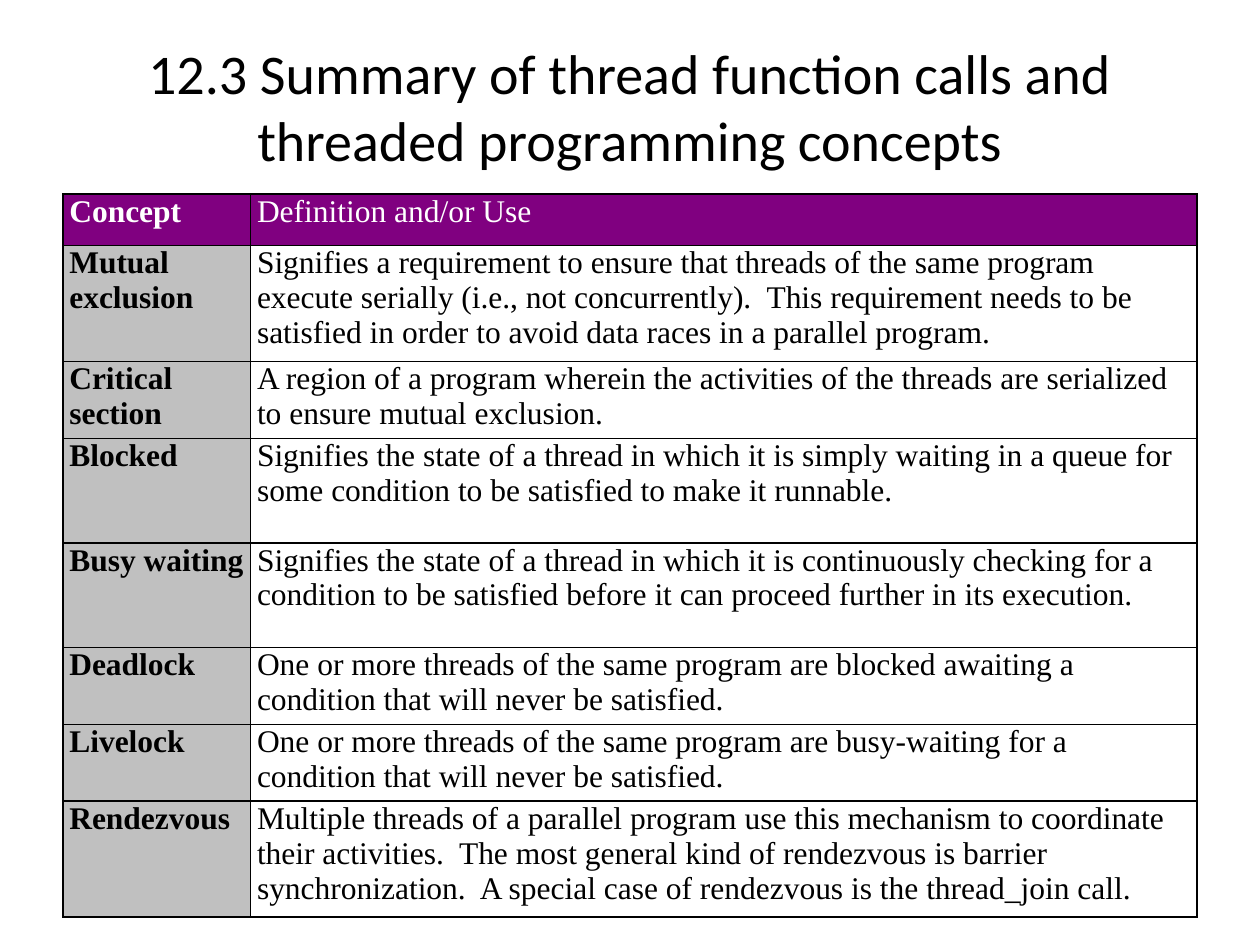
from dataclasses import dataclass

from lxml import etree
from pptx import Presentation
from pptx import util as u
from pptx.dml.color import RGBColor
from pptx.enum import text
from pptx.oxml.ns import qn

COLORS = {"black": "000000", "white": "FFFFFF", "header": "800080", "concept": "C0C0C0"}
COLUMN_WIDTHS = (1.49, 7.51)


@dataclass
class ConceptRow:
    concept: str
    definition: str
    height: float
    is_header: bool = False


ROWS = [
    ConceptRow("Concept", "Definition and/or Use", 0.41, is_header=True),
    ConceptRow(
        "Mutual exclusion",
        "Signifies a requirement to ensure that threads of the same program execute "
        "serially (i.e., not concurrently).  This requirement needs to be satisfied "
        "in order to avoid data races in a parallel program.", 0.92),
    ConceptRow(
        "Critical section",
        "A region of a program wherein the activities of the threads are serialized "
        "to ensure mutual exclusion.", 0.61),
    ConceptRow(
        "Blocked",
        "Signifies the state of a thread in which it is simply waiting in a queue for "
        "some condition to be satisfied to make it runnable.", 0.83),
    ConceptRow(
        "Busy waiting",
        "Signifies the state of a thread in which it is continuously checking for a "
        "condition to be satisfied before it can proceed further in its execution.", 0.83),
    ConceptRow(
        "Deadlock",
        "One or more threads of the same program are blocked awaiting a condition "
        "that will never be satisfied.", 0.61),
    ConceptRow(
        "Livelock",
        "One or more threads of the same program are busy-waiting for a condition "
        "that will never be satisfied.", 0.61),
    ConceptRow(
        "Rendezvous",
        "Multiple threads of a parallel program use this mechanism to coordinate "
        "their activities.  The most general kind of rendezvous is barrier "
        "synchronization.  A special case of rendezvous is the thread_join call.", 0.92),
]


def write_text(frame, content: str, *, font: str, size: float, color: str = "black",
               bold: bool = False, align=text.PP_ALIGN.LEFT) -> None:
    paragraph = frame.paragraphs[0]
    paragraph.alignment = align
    run = paragraph.add_run()
    run.text = content
    run.font.name = font
    run.font.size = u.Pt(size)
    run.font.bold = bold
    run.font.color.rgb = RGBColor.from_string(COLORS[color])


def add_borders(cell, color: str = "black", width: float = 1) -> None:
    properties = cell._tc.get_or_add_tcPr()
    for index, side in enumerate(("a:lnL", "a:lnR", "a:lnT", "a:lnB")):
        line = etree.Element(qn(side), w=str(u.Pt(width)))
        fill = etree.SubElement(line, qn("a:solidFill"))
        etree.SubElement(fill, qn("a:srgbClr"), val=COLORS[color])
        properties.insert(index, line)  # borders come before the cell fill


def format_cell(cell, content: str, *, fill: str | None, color: str, bold: bool) -> None:
    cell.margin_left = cell.margin_right = u.Inches(0.05)
    cell.margin_top = cell.margin_bottom = 0
    cell.vertical_anchor = text.MSO_ANCHOR.TOP
    if fill:
        cell.fill.solid()
        cell.fill.fore_color.rgb = RGBColor.from_string(COLORS[fill])
    else:
        cell.fill.background()
    add_borders(cell)
    write_text(cell.text_frame, content, font="Times New Roman", size=18,
               color=color, bold=bold)


def add_title(slide, content: str) -> None:
    box = slide.shapes.add_textbox(u.Inches(0.5), u.Inches(0.3), u.Inches(9), u.Inches(1.08))
    box.text_frame.word_wrap = True
    box.text_frame.vertical_anchor = text.MSO_ANCHOR.MIDDLE
    write_text(box.text_frame, content, font="Calibri", size=32, align=text.PP_ALIGN.CENTER)


def add_concept_table(slide, rows: list[ConceptRow]) -> None:
    height = sum(row.height for row in rows)
    table = slide.shapes.add_table(
        len(rows), len(COLUMN_WIDTHS), u.Inches(0.5), u.Inches(1.54),
        u.Inches(sum(COLUMN_WIDTHS)), u.Inches(height)).table
    table.horz_banding = False
    table.first_row = False
    for column, width in zip(table.columns, COLUMN_WIDTHS):
        column.width = u.Inches(width)
    for index, row in enumerate(rows):
        table.rows[index].height = u.Inches(row.height)
        color = "white" if row.is_header else "black"
        fills = ("header", "header") if row.is_header else ("concept", None)
        for column, content in enumerate((row.concept, row.definition)):
            format_cell(table.cell(index, column), content, fill=fills[column],
                        color=color, bold=column == 0)


def main() -> None:
    presentation = Presentation()
    presentation.slide_width = u.Inches(10)
    presentation.slide_height = u.Inches(7.5)
    slide = presentation.slides.add_slide(presentation.slide_layouts[6])

    # Title
    add_title(slide, "12.3 Summary of thread function calls and threaded programming concepts")
    # Concepts and their definitions
    add_concept_table(slide, ROWS)

    presentation.save("out.pptx")


if __name__ == "__main__":
    main()
